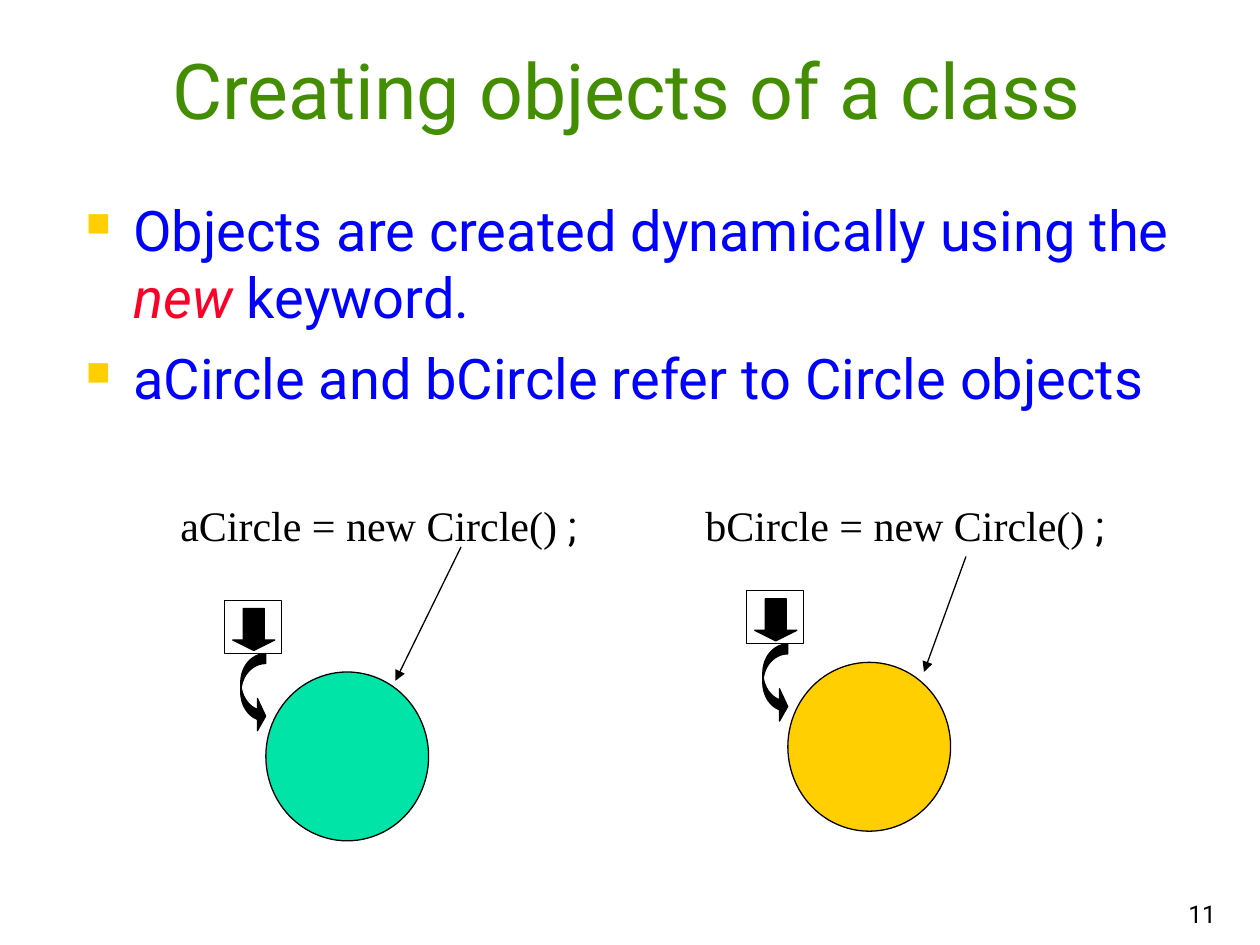
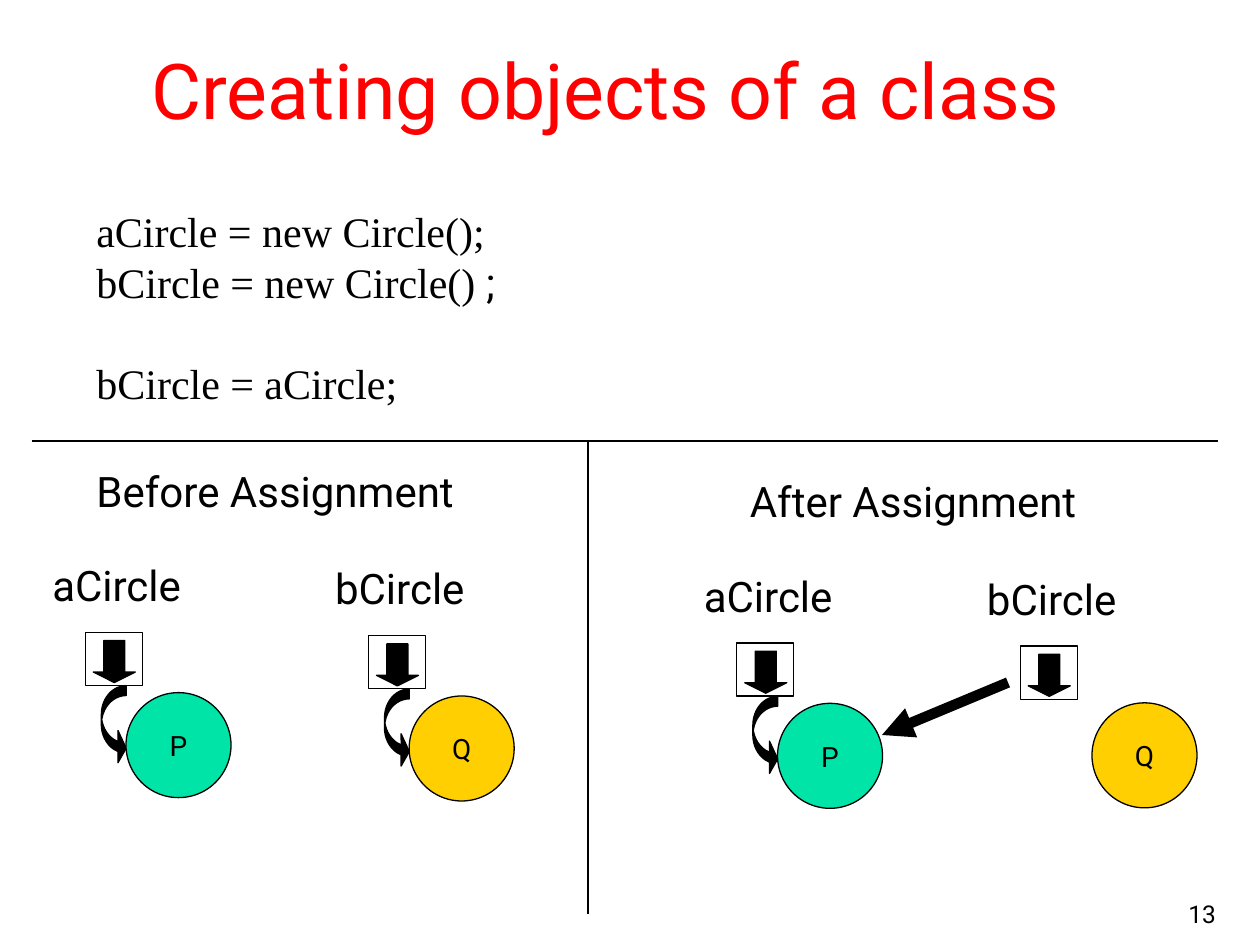
from lxml import etree
from pptx import Presentation
from pptx.dml.color import RGBColor
from pptx.enum.shapes import MSO_CONNECTOR, MSO_SHAPE
from pptx.enum.text import MSO_ANCHOR, PP_ALIGN
from pptx.oxml.ns import qn
from pptx.util import Pt

RECTANGLE, ELLIPSE = MSO_SHAPE.RECTANGLE, MSO_SHAPE.OVAL
DOWN_ARROW, CURVED_ARROW = MSO_SHAPE.DOWN_ARROW, MSO_SHAPE.CURVED_RIGHT_ARROW
STRAIGHT = MSO_CONNECTOR.STRAIGHT
LEFT, CENTER, RIGHT = PP_ALIGN.LEFT, PP_ALIGN.CENTER, PP_ALIGN.RIGHT
TOP, MIDDLE, BOTTOM = MSO_ANCHOR.TOP, MSO_ANCHOR.MIDDLE, MSO_ANCHOR.BOTTOM

COLORS = {
    "black": "000000",
    "white": "FFFFFF",
    "green": "438E00",
    "red": "FF0000",
    "blue": "0000FF",
    "keyword": "FC0128",
    "teal": "00E4A8",
    "gold": "FFCF01",
}
SANS, SERIF = "Roboto", "Times New Roman"


def write(shape, lines, size, font=SANS, color="black", align=LEFT, anchor=TOP, wrap=True):
    frame = shape.text_frame
    frame.text = "\n".join(lines)
    frame.word_wrap = wrap
    frame.vertical_anchor = anchor
    for paragraph in frame.paragraphs:
        paragraph.alignment = align
        for run in paragraph.runs:
            run.font.size = Pt(size)
            run.font.name = font
            run.font.color.rgb = RGBColor.from_string(COLORS[color])
    return frame.paragraphs


def draw(slide, kind, left, top, width, height, fill):
    shape = slide.shapes.add_shape(kind, Pt(left), Pt(top), Pt(width), Pt(height))
    shape.shadow.inherit = False
    shape.fill.solid()
    shape.fill.fore_color.rgb = RGBColor.from_string(COLORS[fill])
    shape.line.color.rgb = RGBColor.from_string(COLORS["black"])
    shape.line.width = Pt(0.75)
    return shape


presentation = Presentation()
presentation.slide_width, presentation.slide_height = Pt(720), Pt(540)

slides = []
for number, title_left, title_color in (("11", 12, "green"), ("13", 0, "red")):
    slide = presentation.slides.add_slide(presentation.slide_layouts[6])
    slides.append(slide)
    page_number = slide.shapes.add_textbox(Pt(552), Pt(498), Pt(150), Pt(36))
    write(page_number, [number], 14, align=RIGHT, anchor=BOTTOM)
    title = slide.shapes.add_textbox(Pt(title_left), Pt(12), Pt(693), Pt(78))
    write(title, ["Creating objects of a class"], 44, color=title_color, align=CENTER, anchor=MIDDLE)
creation_slide, assignment_slide = slides

body = creation_slide.shapes.add_textbox(Pt(42), Pt(108), Pt(660), Pt(375))
points = write(
    body,
    ["Objects are created dynamically using the ", "aCircle and bCircle refer to Circle objects"],
    32,
    color="blue",
)
for text, color in (("new", "keyword"), (" keyword.", "blue")):
    run = points[0].add_run()
    run.text = text
    run.font.size = Pt(32)
    run.font.name = SANS
    run.font.italic = text == "new"
    run.font.color.rgb = RGBColor.from_string(COLORS[color])
for paragraph in points:
    paragraph.space_before = Pt(8)
    properties = paragraph._p.get_or_add_pPr()
    properties.set("marL", str(Pt(27)))
    properties.set("indent", str(-Pt(27)))
    bullet_color = etree.SubElement(properties, qn("a:buClr"))
    etree.SubElement(bullet_color, qn("a:srgbClr"), val=COLORS["gold"])
    etree.SubElement(properties, qn("a:buSzPct"), val="60000")
    etree.SubElement(properties, qn("a:buChar"), char="■")

code_blocks = [
    (creation_slide, 396, 282, 306, 36, ["bCircle = new Circle() "]),
    (creation_slide, 96, 282, 252, 36, ["aCircle = new Circle() "]),
    (assignment_slide, 48, 114, 306, 122.4,
     ["aCircle = new Circle();", "bCircle = new Circle() ", "bCircle = aCircle;"]),
]
for slide, left, top, width, height, lines in code_blocks:
    code = slide.shapes.add_textbox(Pt(left), Pt(top), Pt(width), Pt(height))
    for paragraph in write(code, lines, 24, SERIF):
        if paragraph.text.endswith(" "):
            run = paragraph.add_run()
            run.text = ";"
            run.font.size = Pt(24)
            run.font.name = SANS
            run.font.color.rgb = RGBColor.from_string(COLORS["black"])
        if paragraph.text == "bCircle = aCircle;":
            paragraph.space_before = Pt(29)

large, small, detached = (23.5, 41, 93, 96.5), (23.3, 34.5, 60, 60), (41, 32.4, 60, 60)
references = [
    (creation_slide, 128.4, 343, large, "teal", "", ""),
    (creation_slide, 426.7, 337.5, large, "gold", "", ""),
    (assignment_slide, 48.7, 361.3, small, "teal", "aCircle", "P"),
    (assignment_slide, 210.5, 363.2, small, "gold", "bCircle", "Q"),
    (assignment_slide, 421, 367.4, small, "teal", "aCircle", "P"),
    (assignment_slide, 583, 369.2, detached, "gold", "bCircle", "Q"),
]
for slide, left, top, circle_place, fill, variable, object_name in references:
    draw(slide, RECTANGLE, left, top, 32.6, 30.4, "white")
    if circle_place != detached:
        curve = draw(slide, CURVED_ARROW, left + 9.2, top + 30.5, 14.2, 45, "black")
        for index, value in enumerate((0.4, 1.3, 0.33)):
            curve.adjustments[index] = value
    x, y, width, height = circle_place
    circle = draw(slide, ELLIPSE, left + x, top + y, width, height, fill)
    pointer = draw(slide, DOWN_ARROW, left + 4.6, top + 4.7, 24, 24, "black")
    pointer.adjustments[0], pointer.adjustments[1] = 0.5, 0.25
    if variable:
        write(circle, [object_name], 16, align=CENTER, anchor=MIDDLE, wrap=False)
        label = slide.shapes.add_textbox(Pt(left - 27.3), Pt(top - 45), Pt(90.5), Pt(36))
        write(label, [variable], 24, align=CENTER, wrap=False)

for left, top, width, heading in (
    (42.5, 262.3, 229.5, "Before Assignment"),
    (417, 268.3, 209.5, "After Assignment"),
):
    label = assignment_slide.shapes.add_textbox(Pt(left), Pt(top), Pt(width), Pt(36))
    write(label, [heading], 24, align=CENTER, wrap=False)

lines = [
    (creation_slide, 263.5, 312.5, 226, 389, 0.75, True),
    (creation_slide, 552, 318, 528, 384, 0.75, True),
    (assignment_slide, 576, 390, 504, 420, 6, True),
    (assignment_slide, 336, 252, 336, 522, 0.75, False),
    (assignment_slide, 18, 252, 696, 252, 0.75, False),
]
for slide, start_x, start_y, end_x, end_y, width, has_arrowhead in lines:
    connector = slide.shapes.add_connector(STRAIGHT, Pt(start_x), Pt(start_y), Pt(end_x), Pt(end_y))
    connector.line.color.rgb = RGBColor.from_string(COLORS["black"])
    connector.line.width = Pt(width)
    if has_arrowhead:
        etree.SubElement(connector.line._get_or_add_ln(), qn("a:tailEnd"), type="triangle")
    etree.SubElement(connector._element.spPr, qn("a:effectLst"))

presentation.save("out.pptx")
